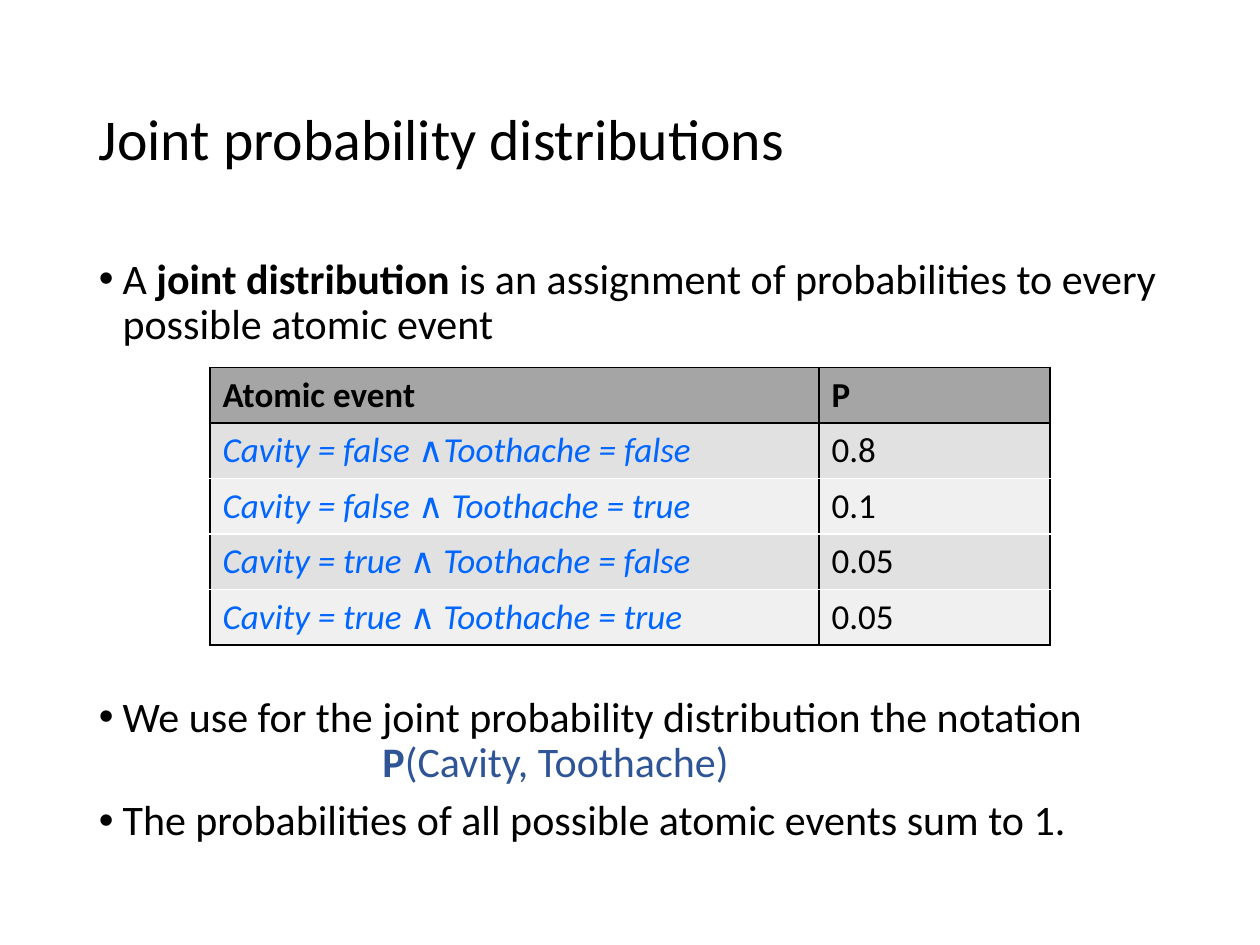
from lxml import etree
from pptx import Presentation
from pptx.dml.color import RGBColor
from pptx.enum.text import MSO_ANCHOR
from pptx.oxml.ns import qn
from pptx.util import Pt

MIDDLE = MSO_ANCHOR.MIDDLE
BLACK = RGBColor(0, 0, 0)
WHITE = RGBColor(0xFF, 0xFF, 0xFF)
NAVY = RGBColor(0x2F, 0x55, 0x97)
BLUE = RGBColor(0x00, 0x66, 0xFF)
HEAD = RGBColor(0xA5, 0xA5, 0xA5)
BANDS = RGBColor(0xE1, 0xE1, 0xE1), RGBColor(0xF0, 0xF0, 0xF0)

FONT = "Calibri"
HANG = 13.5
BOLD = {"bold": True}
SLANT = {"italic": True}

# Each point: bullet shown, left indent, space before, runs
POINTS = [
    (True, HANG, 7.5, [
        ("A ", {}), ("joint distribution ", BOLD),
        ("is an assignment of probabilities to every possible atomic event", {})]),
    (True, HANG, 198.5, [
        ("We use for the joint probability distribution the notation", {})]),
    (False, 162, 0, [
        ("P", {"bold": True, "color": NAVY}),
        ("(Cavity, Toothache)", {"color": NAVY})]),
    (True, HANG, 7.5, [
        ("The probabilities of all possible atomic events sum to 1.", {})]),
]
EVENTS = [
    ("Cavity = false ", "Toothache = false", "0.8"),
    ("Cavity = false ", " Toothache = true", "0.1"),
    ("Cavity = true ", " Toothache = false", "0.05"),
    ("Cavity = true ", " Toothache = true", "0.05"),
]


def add_runs(para, runs, size, color=BLACK):
    for text, extra in runs:
        run = para.add_run()
        run.text = text
        style = {"name": FONT, "size": Pt(size), "bold": False, "italic": False}
        style.update(extra)
        run.font.color.rgb = style.pop("color", color)
        for key, value in style.items():
            setattr(run.font, key, value)


def add_frame(slide, box):
    frame = slide.shapes.add_textbox(*map(Pt, box)).text_frame
    frame.word_wrap = True
    return frame


def add_title(slide, box):
    frame = add_frame(slide, box)
    frame.vertical_anchor = MIDDLE
    para = frame.paragraphs[0]
    para.line_spacing = 0.9
    add_runs(para, [("Joint probability distributions", {})], 33)


def set_bullet(para, shown, left):
    props = para._p.get_or_add_pPr()
    props.set("marL", str(Pt(left)))
    props.set("indent", str(Pt(-HANG if shown else 0)))
    if shown:
        etree.SubElement(props, qn("a:buFont"), typeface="Arial")
        etree.SubElement(props, qn("a:buChar"), char="•")
    else:
        etree.SubElement(props, qn("a:buNone"))


def add_body(slide, box):
    frame = add_frame(slide, box)
    for index, (shown, left, gap, runs) in enumerate(POINTS):
        para = frame.add_paragraph() if index else frame.paragraphs[0]
        para.line_spacing = 0.9
        para.space_before = Pt(gap)
        set_bullet(para, shown, left)
        add_runs(para, runs, 24)


def set_edges(cell, top, base):
    """Draw black sides, and the given colours above and below."""
    props = cell._tc.get_or_add_tcPr()
    for side, color in zip("LRTB", (BLACK, BLACK, top, base)):
        line = etree.SubElement(props, qn(f"a:ln{side}"), w=str(Pt(1)))
        fill = etree.SubElement(line, qn("a:solidFill"))
        etree.SubElement(fill, qn("a:srgbClr"), val=str(color))


def add_table(slide, box, widths):
    rows = [([("Atomic event", BOLD)], [("P", BOLD)])]
    for first, second, value in EVENTS:
        event = [(first, SLANT), ("∧", {}), (second, SLANT)]
        rows.append((event, [(value, {})]))
    last = len(rows) - 1
    table = slide.shapes.add_table(len(rows), len(widths), *map(Pt, box)).table
    for col, width in zip(table.columns, widths):
        col.width = Pt(width)
    for r, row in enumerate(rows):
        top = BLACK if r < 2 else WHITE
        base = BLACK if r in (0, last) else WHITE
        for c, runs in enumerate(row):
            cell = table.cell(r, c)
            set_edges(cell, top, base)
            cell.fill.solid()
            cell.fill.fore_color.rgb = BANDS[(r - 1) % 2] if r else HEAD
            color = BLUE if r and c == 0 else BLACK
            add_runs(cell.text_frame.paragraphs[0], runs, 20, color)


def main():
    deck = Presentation()
    deck.slide_width, deck.slide_height = Pt(720), Pt(540)
    slide = deck.slides.add_slide(deck.slide_layouts[6])
    add_title(slide, (49.5, 28.75, 621, 104.4))
    add_body(slide, (49.5, 143.75, 621, 342.6))
    add_table(slide, (120, 210, 480, 158.5), (348, 132))
    deck.save("out.pptx")


if __name__ == "__main__":
    main()
